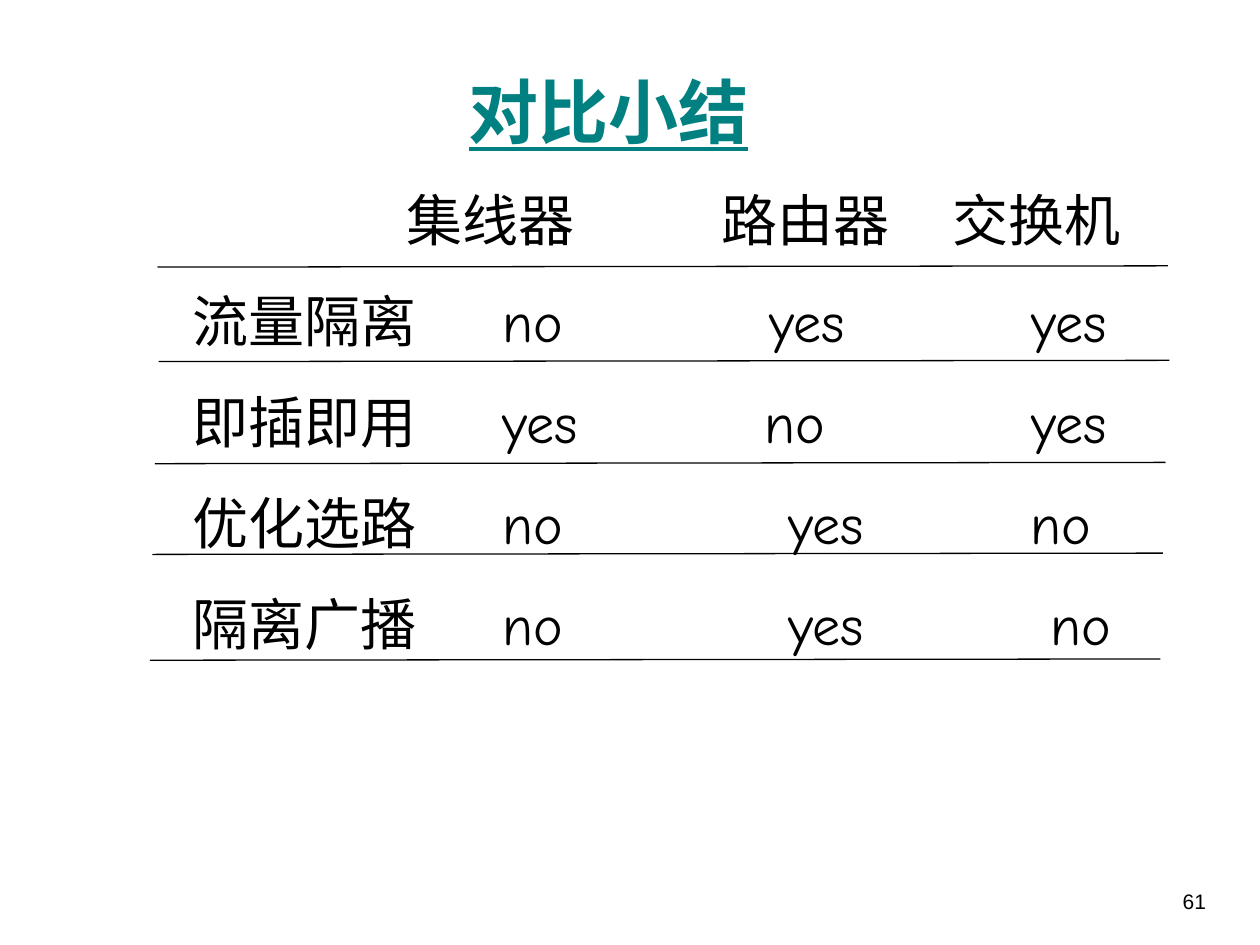
"""Build the comparison summary slide for hubs, routers and switches."""
from dataclasses import dataclass

from lxml import etree
from pptx import Presentation
from pptx.dml.color import RGBColor
from pptx.enum import shapes, text
from pptx.oxml.ns import qn
from pptx.util import Inches, Pt


@dataclass(frozen=True)
class Theme:
    """Colours, fonts and type sizes of the slide."""
    ink: RGBColor = RGBColor(0, 0, 0)
    accent: RGBColor = RGBColor(0, 0x80, 0x80)
    title_font: str = "Times New Roman"
    body_font: str = "Comic Neue"
    number_font: str = "Arial"
    title_size: int = 40
    body_size: int = 32
    number_size: int = 12
    rule_width: float = 0.75
    leading: float = 1.5


class SlideBuilder:
    """Draws each kind of element on the current slide in one theme."""

    def __init__(self, slide, theme):
        self.slide = slide
        self.theme = theme

    def add_run(self, paragraph, wording, font, size, color):
        """Append one formatted run and return it."""
        run = paragraph.add_run()
        run.text = wording
        run.font.name = font
        run.font.size = Pt(size)
        run.font.color.rgb = color
        return run

    def title(self, wording, left, top, width, height):
        """Place and fill the title placeholder."""
        heading = self.slide.shapes.title
        heading.left, heading.top = Inches(left), Inches(top)
        heading.width, heading.height = Inches(width), Inches(height)
        frame = heading.text_frame
        frame.vertical_anchor = text.MSO_ANCHOR.MIDDLE
        paragraph = frame.paragraphs[0]
        paragraph.alignment = text.PP_ALIGN.CENTER
        run = self.add_run(paragraph, wording, self.theme.title_font,
                           self.theme.title_size, self.theme.accent)
        run.font.bold = True
        run.font.underline = True

    def text_frame(self, left, top, width, height):
        """Add a wrapping text box and return its frame."""
        box = self.slide.shapes.add_textbox(
            Inches(left), Inches(top), Inches(width), Inches(height))
        box.text_frame.word_wrap = True
        return box.text_frame

    def page_number(self, wording, left, top, width, height):
        """Add the right-aligned page number."""
        paragraph = self.text_frame(left, top, width, height).paragraphs[0]
        paragraph.alignment = text.PP_ALIGN.RIGHT
        self.add_run(paragraph, wording, self.theme.number_font,
                     self.theme.number_size, self.theme.ink)

    def tab_stops(self, paragraph, stops):
        """Give a paragraph left tab stops."""
        properties = paragraph._p.get_or_add_pPr()
        tabs = etree.SubElement(properties, qn("a:tabLst"))
        for stop in stops:
            etree.SubElement(tabs, qn("a:tab"), pos=str(Inches(stop)), algn="l")

    def comparison(self, rows, left, top, width, height):
        """Add tabbed lines, each with its own column stops."""
        frame = self.text_frame(left, top, width, height)
        frame.margin_right = 0
        for index, (cells, stops) in enumerate(rows):
            paragraph = frame.add_paragraph() if index else frame.paragraphs[0]
            self.tab_stops(paragraph, stops)
            paragraph.line_spacing = self.theme.leading
            self.add_run(paragraph, "\t".join(cells), self.theme.body_font,
                         self.theme.body_size, self.theme.ink)

    def rule(self, left, top, width, rise):
        """Add a thin, slightly rising rule."""
        line = self.slide.shapes.add_connector(
            shapes.MSO_CONNECTOR.STRAIGHT, Inches(left), Inches(top),
            Inches(left + width), Inches(top - rise))
        line.line.color.rgb = self.theme.ink
        line.line.width = Pt(self.theme.rule_width)
        etree.SubElement(line._element.spPr, qn("a:effectLst"))


def main():
    """Assemble and save the slide."""
    deck = Presentation()
    deck.slide_width, deck.slide_height = Inches(10), Inches(7.5)
    builder = SlideBuilder(deck.slides.add_slide(deck.slide_layouts[5]), Theme())

    builder.page_number("61", 8.93, 7, 0.74, 0.5)
    builder.title("对比小结", 0.58, 0.25, 8.5, 1.25)
    rows = [
        (("", "集线器", "路由器", "交换机"), (1.7, 4.2, 6.03)),
        (("流量隔离", "no", "yes", "yes"), (2.46, 4.58, 6.66)),
        (("即插即用", "yes", "no", "yes"), (2.46, 4.54, 6.66)),
        (("优化选路", "no", "yes", "no"), (2.46, 4.73, 6.65)),
        (("隔离广播", "no", "yes", "no"), (2.46, 4.73, 6.81)),
    ]
    builder.comparison(rows, 1.43, 1.16, 7.57, 4.1)
    for left, top in ((1.25, 2.12), (1.26, 2.87), (1.23, 3.68),
                      (1.21, 4.4), (1.19, 5.24)):
        builder.rule(left, top, 8.02, 0.01)
    deck.save("out.pptx")


if __name__ == "__main__":
    main()
